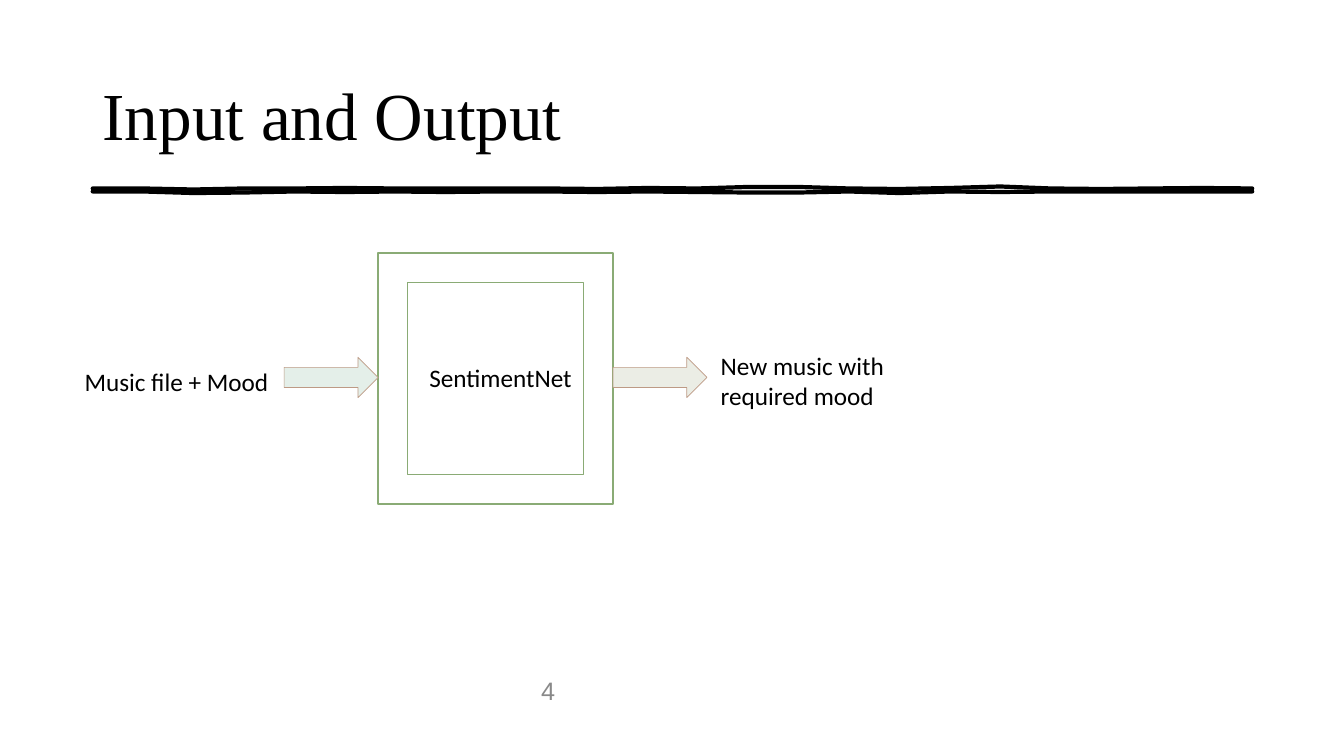
from dataclasses import dataclass

from lxml import etree
from pptx import Presentation
from pptx.dml.color import RGBColor
from pptx.enum.shapes import MSO_SHAPE
from pptx.enum.text import MSO_ANCHOR, MSO_AUTO_SIZE
from pptx.util import Inches, Pt

FRAME, ARROW = MSO_SHAPE.FRAME, MSO_SHAPE.RIGHT_ARROW
TOP, MIDDLE = MSO_ANCHOR.TOP, MSO_ANCHOR.MIDDLE
GROW = MSO_AUTO_SIZE.SHAPE_TO_FIT_TEXT


@dataclass(frozen=True)
class Theme:
    """Colours, fonts and type sizes of the slide."""
    ink: str = "000000"
    paper: str = "FFFFFF"
    grey: str = "898989"
    green: str = "8AAB75"
    tan: str = "BD9A85"
    mint: str = "E4EFE9"
    sand: str = "EBEDE5"
    serif: str = "Times New Roman"
    sans: str = "Calibri"
    plain: str = "Arial"
    head: int = 48
    body: int = 18


THEME = Theme()
UPPER = [0, 0, 1, 0, 0, -0.5, 0, 0, 0, 0, 0.5, -0.5,
         0, -1.5, -1.5, 0, 0.5, -0.5, -2, 0, 0.5, 0, -0.5, 0]
LOWER = [0, 0, 1.5, 1, 0, 0.5, 0, 0.5, 0, 0, 0.5, 0,
         0.5, 1, 1, 0, 1.5, 0, 0.5, 0, 0, 0, 0, 0]


def rgb(code):
    """Turn a hex code into a colour."""
    return RGBColor.from_string(code)


def write(slide, box, lines, face, size, tint, **form):
    """Place a text box with one paragraph per line."""
    frame = slide.shapes.add_textbox(*map(Inches, box)).text_frame
    for key, value in {"word_wrap": True, "vertical_anchor": TOP, **form}.items():
        setattr(frame, key, value)
    frame.text = "\n".join(lines)
    for para in frame.paragraphs:
        for key, value in {"name": face, "size": Pt(size)}.items():
            setattr(para.font, key, value)
        para.font.color.rgb = rgb(tint)


def paint(shape, fill, edge, width):
    """Give a shape its fill and outline without a shadow."""
    shape.shadow.inherit = False
    shape.fill.solid()
    shape.fill.fore_color.rgb = rgb(fill)
    shape.line.color.rgb = rgb(edge)
    shape.line.width = Pt(width)


def block(slide, kind, box, *style):
    """Place a filled and outlined preset shape."""
    paint(slide.shapes.add_shape(kind, *map(Inches, box)), *style)


def strand(left, top, width, waves):
    """List the points of a wavy stroke, there and back, in thousandths."""
    step = width / (len(waves) - 1)
    spots = [(1000 * (left + i * step), 1000 * top + 10 * wave)
             for i, wave in enumerate(waves)]
    return spots + spots[-2:0:-1]


def brush(slide, left, top, width):
    """Draw the brushed rule as two wavy strokes of one shape."""
    upper = strand(left, top, width, UPPER)
    lower = strand(left, top + 0.03, width, LOWER)
    path = slide.shapes.build_freeform(*upper[0], scale=Inches(1) / 1000)
    path.add_line_segments(upper[1:], close=True)
    path.move_to(*lower[0])
    path.add_line_segments(lower[1:], close=True)
    shape = path.convert_to_shape()
    paint(shape, THEME.ink, THEME.ink, 3)
    line = shape.line._get_or_add_ln()
    etree.SubElement(line, line.tag.replace("}ln", "}round"))


def header(slide, box):
    """Place the title and the brushed rule below it."""
    left, top, width, height = box
    write(slide, box, ["Input and Output"], THEME.serif, THEME.head, THEME.ink,
          vertical_anchor=MIDDLE)
    brush(slide, left, top + height + 0.02, width)


def flow(slide, box):
    """Place the network frame in the box, its arrows and its labels."""
    left, top, width, height = box
    right, middle = left + width, top + height / 2
    long, thick = 0.4 * width, 0.4
    level = middle - thick / 2 - 0.01
    block(slide, FRAME, box, THEME.paper, THEME.green, 1)
    for start, fill in ((left - long, THEME.mint), (right, THEME.sand)):
        block(slide, ARROW, (start, level, long, thick), fill, THEME.tan, 0.5)
    labels = (
        ((left + 0.41, level, 1.63, 0.4), ["SentimentNet"], False),
        ((left - 3.01, level + 0.04, 2.06, 0.4), ["Music file + Mood"], True),
        ((right + 0.97, level - 0.12, 1.9, 0.71),
         ["New music with", "required mood"], False),
    )
    for place, lines, wrap in labels:
        write(slide, place, lines, THEME.sans, THEME.body, THEME.ink,
              word_wrap=wrap, auto_size=GROW)


def footer(slide, box):
    """Place the slide number."""
    write(slide, box, ["4"], THEME.plain, THEME.body, THEME.grey)


def main():
    """Build and save the slide."""
    deck = Presentation()
    deck.slide_width, deck.slide_height = Inches(13.33), Inches(7.5)
    slide = deck.slides.add_slide(deck.slide_layouts[6])
    header(slide, (0.92, 0.4, 11.5, 1.45))
    flow(slide, (3.75, 2.51, 2.33, 2.49))
    footer(slide, (5.27, 6.65, 2.33, 0.4))
    deck.save("out.pptx")


if __name__ == "__main__":
    main()
